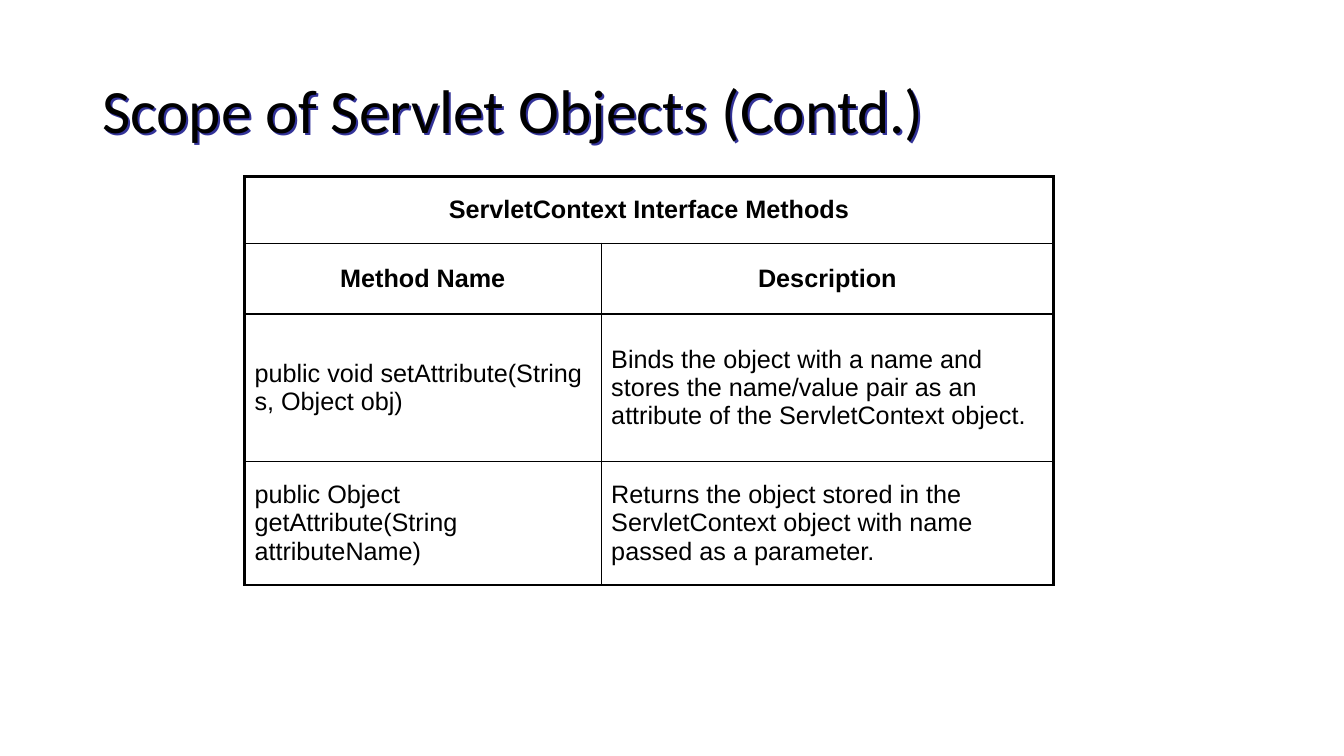
from lxml import etree
from pptx import Presentation
from pptx import util as u
from pptx.dml.color import RGBColor
from pptx.enum import text
from pptx.oxml import ns

# Content
TITLE = "Scope of Servlet Objects (Contd.)"
ROWS = [
    ("ServletContext Interface Methods", ""),
    ("Method Name", "Description"),
    ("public void setAttribute(String s, Object obj)",
     "Binds the object with a name and stores the name/value pair as an "
     "attribute of the ServletContext object."),
    ("public Object getAttribute(String attributeName)",
     "Returns the object stored in the ServletContext object with name "
     "passed as a parameter."),
]
HEADS = 2
WIDTHS = (8.99, 11.4)
HEIGHTS = (1.68, 1.78, 3.71, 3.12)
BLACK, SHADE = "000000", "333399"
THICK, THIN = 2.25, 1


def style(font, name, size, bold=False):
    font.name, font.size, font.bold = name, u.Pt(size), bold
    font.color.rgb = RGBColor.from_string(BLACK)


def add(parent, tag, **attrs):
    return etree.SubElement(parent, ns.qn(tag), attrs)


def border(cell, sides):
    """Draw the four sides in the order left, right, top, bottom."""
    props = cell._tc.get_or_add_tcPr()
    for spot, (side, width) in enumerate(zip("LRTB", sides)):
        line = add(props, f"a:ln{side}", w=str(int(u.Pt(width))))
        add(add(line, "a:solidFill"), "a:srgbClr", val=BLACK)
        props.insert(spot, line)


deck = Presentation()
deck.slide_width, deck.slide_height = u.Cm(33.87), u.Cm(19.05)
slide = deck.slides.add_slide(deck.slide_layouts[5])

# Title with a soft offset shadow
title = slide.shapes.title
title.left, title.top = u.Cm(2.33), u.Cm(1.01)
title.width, title.height = u.Cm(29.21), u.Cm(3.68)
frame = title.text_frame
frame.text = TITLE
frame.auto_size = text.MSO_AUTO_SIZE.NONE
frame.vertical_anchor = text.MSO_ANCHOR.MIDDLE
para = frame.paragraphs[0]
para.alignment = text.PP_ALIGN.LEFT
para.line_spacing = 0.9
style(para.font, "Calibri", 44)
effect = add(title._element.spPr, "a:effectLst")
shadow = add(effect, "a:outerShdw", dist=str(int(u.Cm(0.07))), dir="2700000")
add(shadow, "a:srgbClr", val=SHADE)

# Table grid
rows, cols = len(ROWS), len(WIDTHS)
table = slide.shapes.add_table(
    rows, cols, u.Cm(6.16), u.Cm(4.45),
    u.Cm(sum(WIDTHS)), u.Cm(sum(HEIGHTS))).table
table.first_row = table.horz_banding = False
for col, width in zip(table.columns, WIDTHS):
    col.width = u.Cm(width)
for row, height in zip(table.rows, HEIGHTS):
    row.height = u.Cm(height)
table.cell(0, 0).merge(table.cell(0, cols - 1))

# Cells: thick outer frame, thin inner lines
for r, words in enumerate(ROWS):
    for c, word in enumerate(words):
        cell = table.cell(r, c)
        cell.fill.background()
        edges = (c == 0, c == cols - 1 or r == 0, r == 0, r == rows - 1)
        border(cell, [THICK if edge else THIN for edge in edges])
        if cell.is_spanned:
            continue
        cell.text = word
        cell.vertical_anchor = text.MSO_ANCHOR.MIDDLE
        para = cell.text_frame.paragraphs[0]
        head = r < HEADS
        para.alignment = text.PP_ALIGN.CENTER if head else text.PP_ALIGN.LEFT
        style(para.font, "Arial", 18, head)

deck.save("out.pptx")
